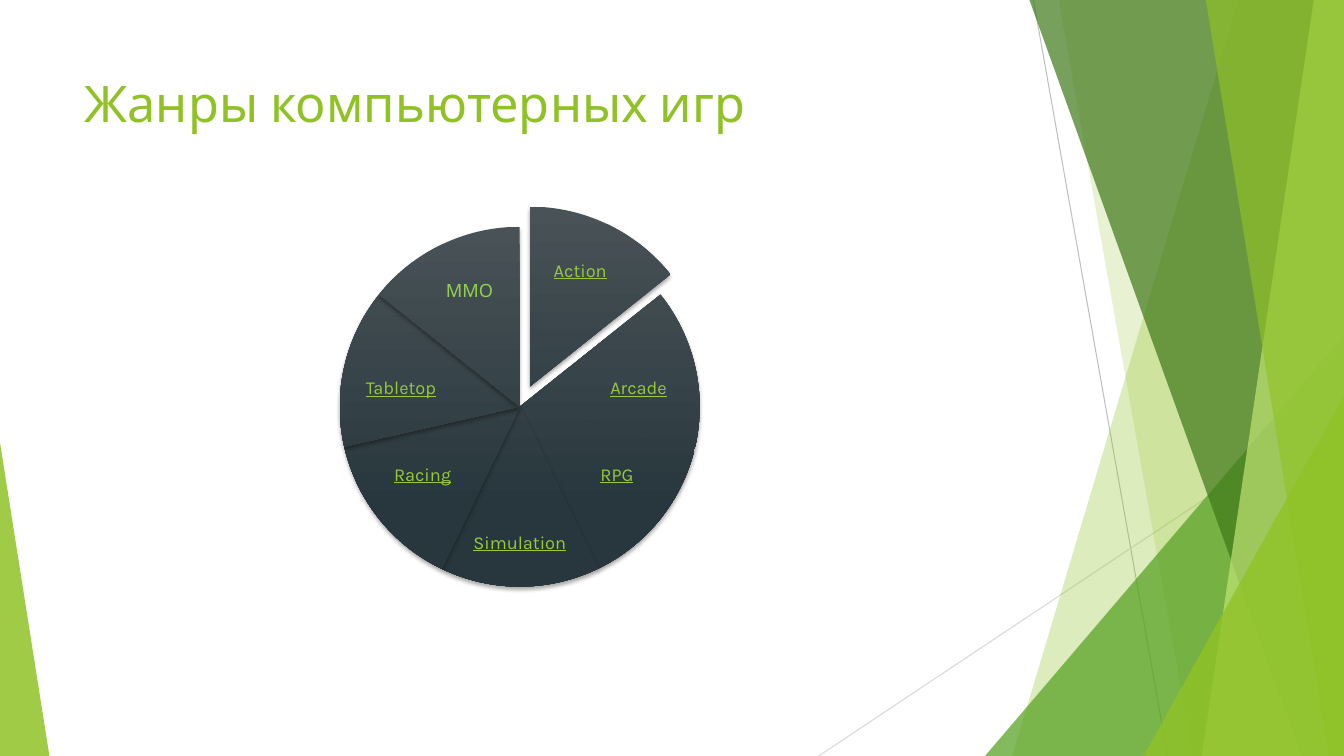
from lxml import etree
from pptx import Presentation
from pptx.dml.color import RGBColor
from pptx.enum.shapes import MSO_CONNECTOR, MSO_SHAPE
from pptx.enum.text import MSO_ANCHOR, PP_ALIGN
from pptx.oxml.ns import qn
from pptx.util import Inches, Pt

STRAIGHT = MSO_CONNECTOR.STRAIGHT
PIE, TRIANGLE = MSO_SHAPE.PIE, MSO_SHAPE.ISOSCELES_TRIANGLE
TOP, MIDDLE = MSO_ANCHOR.TOP, MSO_ANCHOR.MIDDLE
LEFT, CENTER = PP_ALIGN.LEFT, PP_ALIGN.CENTER

SLIDE_WIDTH, SLIDE_HEIGHT = 13.33, 7.5
FONT = "Karla"
FULL_TURN = 216
PIE_START = 162
COLORS = {
    "lime": "90C226",
    "green": "54A021",
    "forest": "3F7819",
    "pale": "C0E474",
    "gray": "BFBFBF",
    "silver": "D9D9D9",
    "slice_top": "495257",
    "slice_bottom": "28373D",
    "link": "99CA3C",
    "plain": "92D050",
    "shadow": "000000",
}
GENRES = [
    ("Action", 0.14, -0.32, 0.27, 0.17),
    ("Arcade", 0.33, -0.05, 0.29, 0.18),
    ("RPG", 0.27, 0.19, 0.26, 0.19),
    ("Simulation", 0, 0.38, 0.27, 0.19),
    ("Racing", -0.27, 0.19, 0.26, 0.19),
    ("Tabletop", -0.33, -0.05, 0.29, 0.18),
    ("ММО", -0.14, -0.32, 0.27, 0.17),
]
EXPLODED, UNLINKED = "Action", "ММО"


def color(name):
    return RGBColor.from_string(COLORS[name])


def add_alpha(color_element, percent):
    etree.SubElement(color_element, qn("a:alpha"), val=str(percent * 1000))


def paint(shape, name, opacity):
    shape.shadow.inherit = False
    shape.fill.solid()
    shape.fill.fore_color.rgb = color(name)
    add_alpha(next(shape._element.spPr.iter(qn("a:srgbClr"))), opacity)
    shape.line.fill.background()


def add_run(paragraph, text, size, name, underline=False):
    run = paragraph.add_run()
    run.text = text
    run.font.name = FONT
    run.font.size = Pt(size)
    run.font.color.rgb = color(name)
    run.font.underline = underline


def add_hairline(shapes, name, *ends):
    line = shapes.add_connector(STRAIGHT, *map(Inches, ends))
    line.line.color.rgb = color(name)
    line.line.width = Pt(0.75)
    etree.SubElement(line._element.spPr, qn("a:effectLst"))


def add_band(shapes, box, top_inset, bottom_inset, name, opacity):
    left, top, width, height = box
    right, bottom = left + width, top + height
    corners = [(right - top_inset, top), (right, top),
               (right, bottom), (right - bottom_inset, bottom)]
    points = [(Inches(x), Inches(y)) for x, y in corners]
    builder = shapes.build_freeform(*points[0])
    builder.add_line_segments(points[1:], close=True)
    paint(builder.convert_to_shape(), name, opacity)


def add_corner(shapes, left, bottom, width, height, apex, name, opacity):
    corner = shapes.add_shape(TRIANGLE, Inches(left), Inches(bottom - height),
                              Inches(width), Inches(height))
    corner.adjustments[0] = apex
    paint(corner, name, opacity)


def add_facets(slide, box):
    left, top, width, height = box
    right, bottom = left + width, top + height
    shapes = slide.shapes.add_group_shape().shapes
    add_hairline(shapes, "gray", right - 3.08, top, right - 1.75, bottom)
    add_hairline(shapes, "silver", right, top + 4.03, right - 5.21, bottom)
    add_band(shapes, box, 1.05, 3.29, "lime", 30)
    add_band(shapes, box, 2.83, 1.5, "lime", 20)
    add_corner(shapes, right - 3.56, bottom, 3.56, 4.17, 1, "green", 72)
    add_band(shapes, box, 3.12, 0.42, "forest", 70)
    add_band(shapes, box, 0.3, 1.41, "pale", 70)
    add_band(shapes, box, 1.37, 0.15, "lime", 65)
    add_corner(shapes, right - 1.99, bottom, 1.99, 3.57, 1, "lime", 80)
    add_corner(shapes, left, bottom, 0.49, 3.11, 0, "lime", 85)


def add_title(slide, box, text):
    title = slide.shapes.title
    title.left, title.top, title.width, title.height = map(Inches, box)
    title.text_frame.vertical_anchor = TOP
    title.text_frame.word_wrap = True
    paragraph = title.text_frame.paragraphs[0]
    paragraph.alignment = LEFT
    add_run(paragraph, text, 36, "lime")


def add_slice(shapes, left, top, diameter, index):
    slice_shape = shapes.add_shape(PIE, Inches(left), Inches(top),
                                   Inches(diameter), Inches(diameter))
    for edge in range(2):
        angle = PIE_START + (index + edge) * FULL_TURN / len(GENRES)
        slice_shape.adjustments[edge] = angle % FULL_TURN
    slice_shape.line.fill.background()
    slice_shape.fill.gradient()
    slice_shape.fill.gradient_angle = 270
    first, last = slice_shape.fill.gradient_stops
    first.position, last.position = 0, 0.78
    first.color.rgb, last.color.rgb = color("slice_top"), color("slice_bottom")
    slice_shape.shadow.inherit = False
    effects = slice_shape._element.spPr.find(qn("a:effectLst"))
    shadow = etree.SubElement(effects, qn("a:outerShdw"), blurRad=str(Pt(3)),
                              dist=str(Pt(2)), dir="5400000", rotWithShape="0")
    shade = etree.SubElement(shadow, qn("a:srgbClr"), val=COLORS["shadow"])
    add_alpha(shade, 35)


def add_label(shapes, center_x, center_y, width, height, text):
    label = shapes.add_textbox(Inches(center_x - width / 2), Inches(center_y - height / 2),
                               Inches(width), Inches(height))
    frame = label.text_frame
    frame.word_wrap = True
    frame.vertical_anchor = MIDDLE
    frame.margin_left = frame.margin_right = Inches(0.02)
    frame.margin_top = frame.margin_bottom = Inches(0.02)
    paragraph = frame.paragraphs[0]
    paragraph.alignment = CENTER
    paragraph.line_spacing = 0.9
    linked = text != UNLINKED
    add_run(paragraph, text, 13, "link" if linked else "plain", linked)


def add_genre_pie(slide, box):
    left, top, diameter = box
    shapes = slide.shapes.add_group_shape().shapes
    for index, (genre, x, y, width, height) in enumerate(GENRES):
        shift_x, shift_y = (0.1, -0.2) if genre == EXPLODED else (0, 0)
        slice_left, slice_top = left + shift_x, top + shift_y
        add_slice(shapes, slice_left, slice_top, diameter, index)
        add_label(shapes, slice_left + (0.5 + x) * diameter,
                  slice_top + (0.5 + y) * diameter,
                  width * diameter, height * diameter, genre)


def main():
    presentation = Presentation()
    presentation.slide_width = Inches(SLIDE_WIDTH)
    presentation.slide_height = Inches(SLIDE_HEIGHT)
    slide = presentation.slides.add_slide(presentation.slide_layouts[5])
    add_facets(slide, (0, 0, SLIDE_WIDTH, SLIDE_HEIGHT))
    add_title(slide, (0.74, 0.67, 9.4, 1.44), "Жанры компьютерных игр")
    add_genre_pie(slide, (3.37, 2.25, 3.57))
    presentation.save("out.pptx")


if __name__ == "__main__":
    main()
